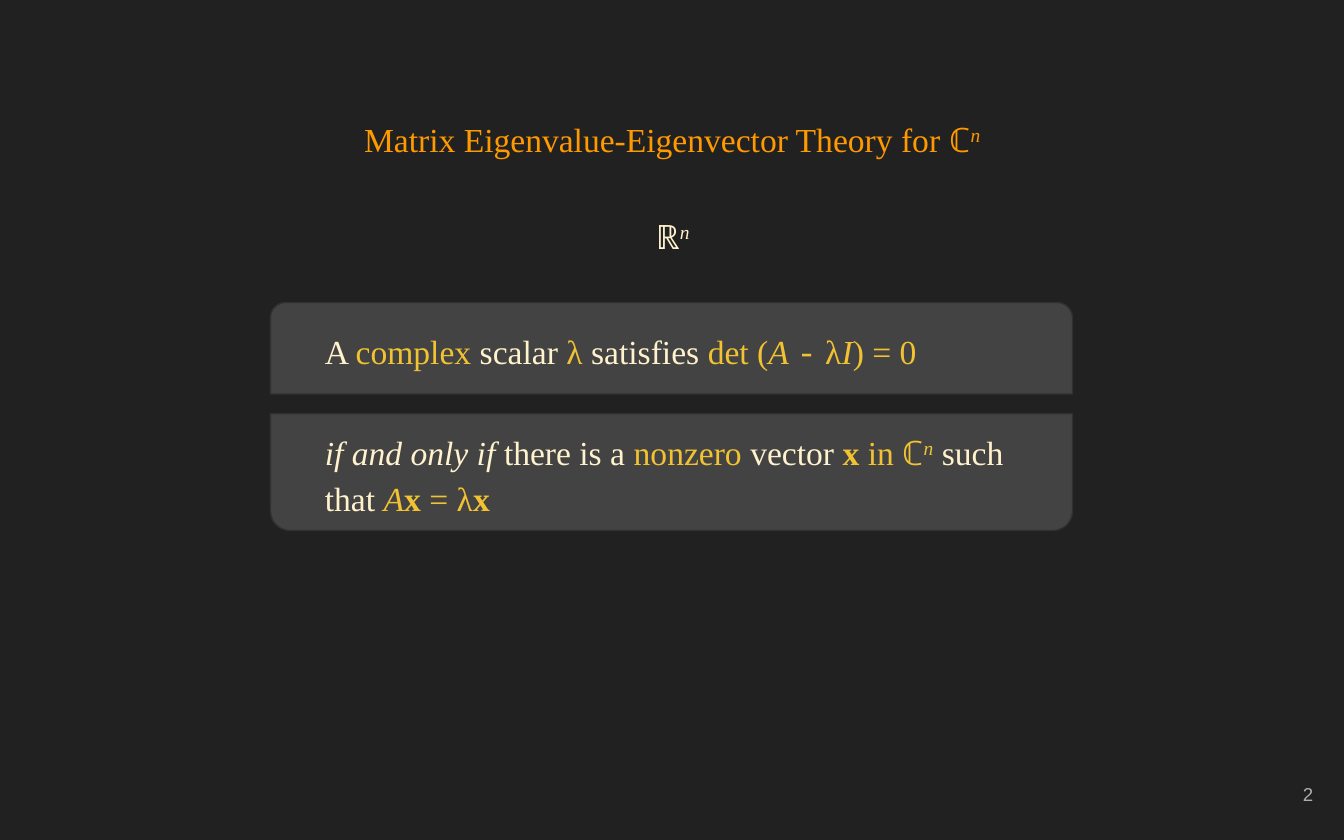
import pptx
import pptx.dml.color
import pptx.enum.shapes
import pptx.enum.text
import pptx.util

Cm = pptx.util.Cm
Pt = pptx.util.Pt
ALIGN = pptx.enum.text.PP_ALIGN
ANCHOR = pptx.enum.text.MSO_ANCHOR

COLORS = {
    "background": "212121",
    "title": "FF9900",
    "body": "FFF2CC",
    "accent": "F1C232",
    "panel": "434343",
    "border": "303030",
    "number": "ADADAD",
}

# Span formats
KEY = {"color": "accent"}
KEY_ITALIC = {"color": "accent", "italic": True}
KEY_BOLD = {"color": "accent", "bold": True}
POWER = {"italic": True, "raised": True}

CONDITION = [
    ("A ", {}), ("complex ", KEY), ("scalar ", {}), ("λ", KEY),
    (" satisfies ", {}), ("det (", KEY), ("A ", KEY_ITALIC),
    ("-", {"color": "accent", "font": "Courier New"}),
    (" λ", KEY), ("I", KEY_ITALIC), (") = 0", KEY),
]
EQUIVALENT = [
    ("if and only if", {"italic": True}), (" there is a ", {}),
    ("nonzero", KEY), (" vector ", {}), ("x", KEY_BOLD), (" in ℂ", KEY),
    ("n", {**POWER, **KEY}), (" such that ", {}), ("A", KEY_ITALIC),
    ("x", KEY_BOLD), (" = λ", KEY), ("x", KEY_BOLD),
]


def rgb(name):
    return pptx.dml.color.RGBColor.from_string(COLORS[name])


def add_span(para, text, *, color="body", font="Times New Roman", size=18,
             bold=False, italic=False, raised=False):
    """Append one formatted span of text to a paragraph."""
    span = para.add_run()
    span.text = text
    span.font.name = font
    span.font.size = Pt(size)
    span.font.bold = bold
    span.font.italic = italic
    span.font.color.rgb = rgb(color)
    if raised:
        span.font._element.set("baseline", "30000")


def write_text(box, spans, *, align=ALIGN.LEFT, anchor=ANCHOR.MIDDLE,
               spacing=1.15, after=0, **defaults):
    """Fill a box with one paragraph made of (text, format) spans."""
    frame = box.text_frame
    frame.word_wrap = True
    frame.auto_size = pptx.enum.text.MSO_AUTO_SIZE.NONE
    frame.vertical_anchor = anchor
    frame.margin_left = frame.margin_right = Cm(0.25)
    frame.margin_top = frame.margin_bottom = Cm(0.25)
    para = frame.paragraphs[0]
    para.alignment = align
    para.line_spacing = spacing
    para.space_after = Pt(after)
    for text, style in spans:
        add_span(para, text, **{**defaults, **style})


def add_title(page, spans):
    title = page.shapes.title
    title.left, title.top = Cm(0.87), Cm(1.88)
    title.width, title.height = Cm(23.67), Cm(1.22)
    write_text(title, spans, align=ALIGN.CENTER, anchor=ANCHOR.TOP,
               after=16, color="title")


def add_panel(page, spans, *, top, height, text_top, text_height, rotation=0):
    """Add a half-rounded panel grouped with its statement."""
    group = page.shapes.add_group_shape()
    panel = group.shapes.add_shape(
        pptx.enum.shapes.MSO_SHAPE.ROUND_2_SAME_RECTANGLE,
        Cm(5.11), Cm(top), Cm(15.16), Cm(height))
    panel.shadow.inherit = False
    panel.rotation = rotation
    panel.adjustments[0] = 0.167
    panel.adjustments[1] = 0
    panel.fill.solid()
    panel.fill.fore_color.rgb = rgb("panel")
    panel.line.color.rgb = rgb("border")
    panel.line.width = Pt(0.75)
    box = group.shapes.add_textbox(
        Cm(5.89), Cm(text_top), Cm(14.43), Cm(text_height))
    write_text(box, spans)


def main():
    deck = pptx.Presentation()
    deck.slide_width, deck.slide_height = Cm(25.4), Cm(15.88)
    page = deck.slides.add_slide(deck.slide_layouts.get_by_name("Title Only"))
    page.background.fill.solid()
    page.background.fill.fore_color.rgb = rgb("background")

    # Heading and the real space
    add_title(page, [("Matrix Eigenvalue-Eigenvector Theory for ℂ", {}),
                     ("n", POWER)])
    space = page.shapes.add_textbox(Cm(11.66), Cm(3.63), Cm(2.11), Cm(1.57))
    write_text(space, [("ℝ", {}), ("n", POWER)], align=ALIGN.CENTER)

    # The two halves of the theorem
    add_panel(page, CONDITION, top=5.72, height=1.73,
              text_top=5.94, text_height=1.3)
    add_panel(page, EQUIVALENT, top=7.82, height=2.21,
              text_top=7.98, text_height=1.88, rotation=180)

    # Page number
    number = page.shapes.add_textbox(Cm(23.55), Cm(14.4), Cm(1.52), Cm(1.22))
    write_text(number, [("2", {})], align=ALIGN.RIGHT, spacing=1,
               font="Arial", size=10, color="number")

    deck.save("out.pptx")


if __name__ == "__main__":
    main()
